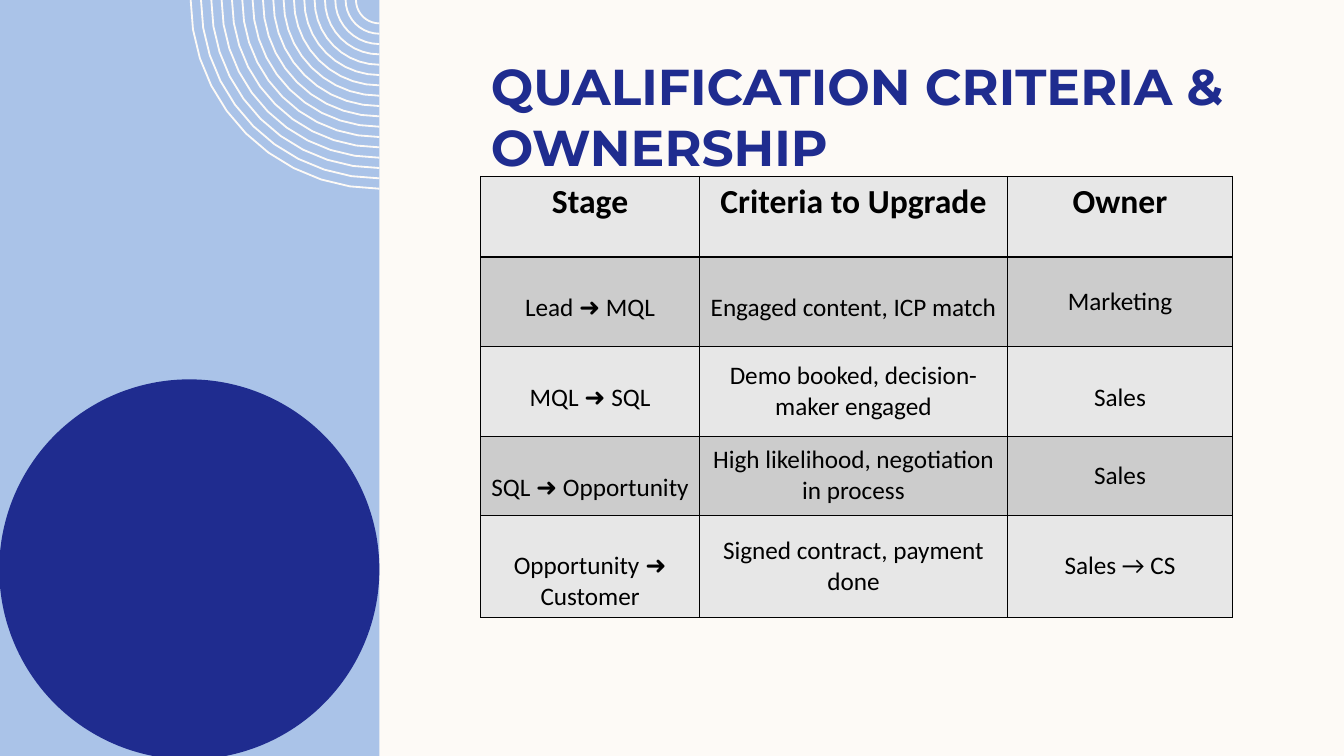
import math
from dataclasses import dataclass

from lxml import etree
from pptx import Presentation
from pptx import slide as sl
from pptx import table as tb
from pptx import util as u
from pptx.dml import color, fill as fl
from pptx.enum import shapes, text
from pptx.oxml import ns
from pptx.text import text as tx

CREAM, SKY, NAVY, BLACK = "FDFAF6", "AAC3E8", "1F2C8F", "000000"
BANDS = ("E7E7E7", "CCCCCC")
PANEL_WIDTH = 271
RING_COUNT, RING_OUTER, RING_STEP, RING_THICKNESS = 17, 134.8, 7.38, 1.3
ARC_STEPS = 10
COLUMN_WIDTHS = (156, 220.3, 160.5)
ROW_HEIGHTS = (57.6, 64, 64, 56.4, 73.2)
CELL_MARGIN, LOWERED_MARGIN = 3.6, 25.6


@dataclass(frozen=True)
class Block:
    preset: shapes.MSO_SHAPE
    left: float
    top: float
    width: float
    height: float
    fill: str


@dataclass(frozen=True)
class Entry:
    wording: str
    placement: str = "middle"
    size: float = 18
    bold: bool = False


PANEL = Block(shapes.MSO_SHAPE.RECTANGLE, 0, 0, PANEL_WIDTH, 540, SKY)
CIRCLE = Block(shapes.MSO_SHAPE.OVAL, -0.5, 271, 271.5, 271.5, NAVY)

ROWS = (
    tuple(Entry(name, "top", 24, True) for name in ("Stage", "Criteria to Upgrade", "Owner")),
    (Entry("Lead ➜ MQL", "lowered"), Entry("Engaged content, ICP match", "lowered"), Entry("Marketing")),
    (Entry("MQL ➜ SQL", "lowered"), Entry("Demo booked, decision-maker engaged"), Entry("Sales", "lowered")),
    (Entry("SQL ➜ Opportunity", "lowered"), Entry("High likelihood, negotiation in process"), Entry("Sales")),
    (Entry("Opportunity ➜ Customer", "lowered"), Entry("Signed contract, payment done"), Entry("Sales → CS")),
)


def paint(fill: fl.FillFormat, value: str) -> None:
    fill.solid()
    fill.fore_color.rgb = color.RGBColor.from_string(value)


def add_run(paragraph: tx._Paragraph, wording: str, font: str, size: float, bold: bool, value: str) -> None:
    run = paragraph.add_run()
    run.text = wording
    run.font.name = font
    run.font.size = u.Pt(size)
    run.font.bold = bold
    paint(run.font.fill, value)


def add_block(slide: sl.Slide, block: Block) -> None:
    shape = slide.shapes.add_shape(
        block.preset, u.Pt(block.left), u.Pt(block.top), u.Pt(block.width), u.Pt(block.height)
    )
    shape.shadow.inherit = False
    paint(shape.fill, block.fill)
    shape.line.fill.background()


def arc_points(radius: float) -> list[tuple[int, int]]:
    angles = [math.pi / 2 * step / ARC_STEPS for step in range(ARC_STEPS + 1)]
    return [
        (u.Pt(PANEL_WIDTH - radius * math.cos(angle)), u.Pt(radius * math.sin(angle)))
        for angle in angles
    ]


def add_rings(slide: sl.Slide) -> None:
    arcs = [arc_points(RING_OUTER - index * RING_STEP) for index in range(RING_COUNT)]
    builder = slide.shapes.build_freeform(*arcs[0][0])
    builder.add_line_segments(arcs[0][1:], close=False)
    for start, *rest in arcs[1:]:
        builder.move_to(*start)
        builder.add_line_segments(rest, close=False)
    shape = builder.convert_to_shape()
    shape.shadow.inherit = False
    shape.fill.background()
    paint(shape.line.fill, CREAM)
    shape.line.width = u.Pt(RING_THICKNESS)


def add_title(slide: sl.Slide) -> None:
    shape = slide.shapes.add_textbox(u.Pt(343.5), u.Pt(42.5), u.Pt(554.5), u.Pt(83.5))
    frame = shape.text_frame
    frame.word_wrap = True
    frame.vertical_anchor = text.MSO_ANCHOR.BOTTOM
    frame.margin_top = frame.margin_bottom = 0
    add_run(frame.paragraphs[0], "QUALIFICATION CRITERIA & OWNERSHIP", "Montserrat", 36, True, NAVY)


def add_borders(cell: tb._Cell) -> None:
    properties = cell._tc.get_or_add_tcPr()
    for side in ("a:lnL", "a:lnR", "a:lnT", "a:lnB"):
        line = etree.SubElement(properties, ns.qn(side), w=str(u.Pt(1)))
        solid = etree.SubElement(line, ns.qn("a:solidFill"))
        etree.SubElement(solid, ns.qn("a:srgbClr"), val=BLACK)


def fill_cell(cell: tb._Cell, entry: Entry, band: str) -> None:
    add_borders(cell)
    paint(cell.fill, band)
    middle = entry.placement == "middle"
    cell.vertical_anchor = text.MSO_ANCHOR.MIDDLE if middle else text.MSO_ANCHOR.TOP
    cell.margin_top = u.Pt(LOWERED_MARGIN if entry.placement == "lowered" else CELL_MARGIN)
    cell.margin_bottom = u.Pt(CELL_MARGIN)
    paragraph = cell.text_frame.paragraphs[0]
    paragraph.alignment = text.PP_ALIGN.CENTER
    add_run(paragraph, entry.wording, "Calibri", entry.size, entry.bold, BLACK)


def add_criteria_table(slide: sl.Slide) -> None:
    table = slide.shapes.add_table(
        len(ROWS), len(COLUMN_WIDTHS), u.Pt(343.5), u.Pt(126),
        u.Pt(sum(COLUMN_WIDTHS)), u.Pt(sum(ROW_HEIGHTS)),
    ).table
    table.horz_banding = False
    for column, width in zip(table.columns, COLUMN_WIDTHS):
        column.width = u.Pt(width)
    for index, (row, height, entries) in enumerate(zip(table.rows, ROW_HEIGHTS, ROWS)):
        row.height = u.Pt(height)
        for cell, entry in zip(row.cells, entries):
            fill_cell(cell, entry, BANDS[index % 2])


def main() -> None:
    presentation = Presentation()
    presentation.slide_width = u.Pt(960)
    presentation.slide_height = u.Pt(540)
    slide = presentation.slides.add_slide(presentation.slide_layouts[6])
    paint(slide.background.fill, CREAM)
    add_block(slide, PANEL)
    add_rings(slide)
    add_block(slide, CIRCLE)
    add_title(slide)
    add_criteria_table(slide)
    presentation.save("out.pptx")


if __name__ == "__main__":
    main()
